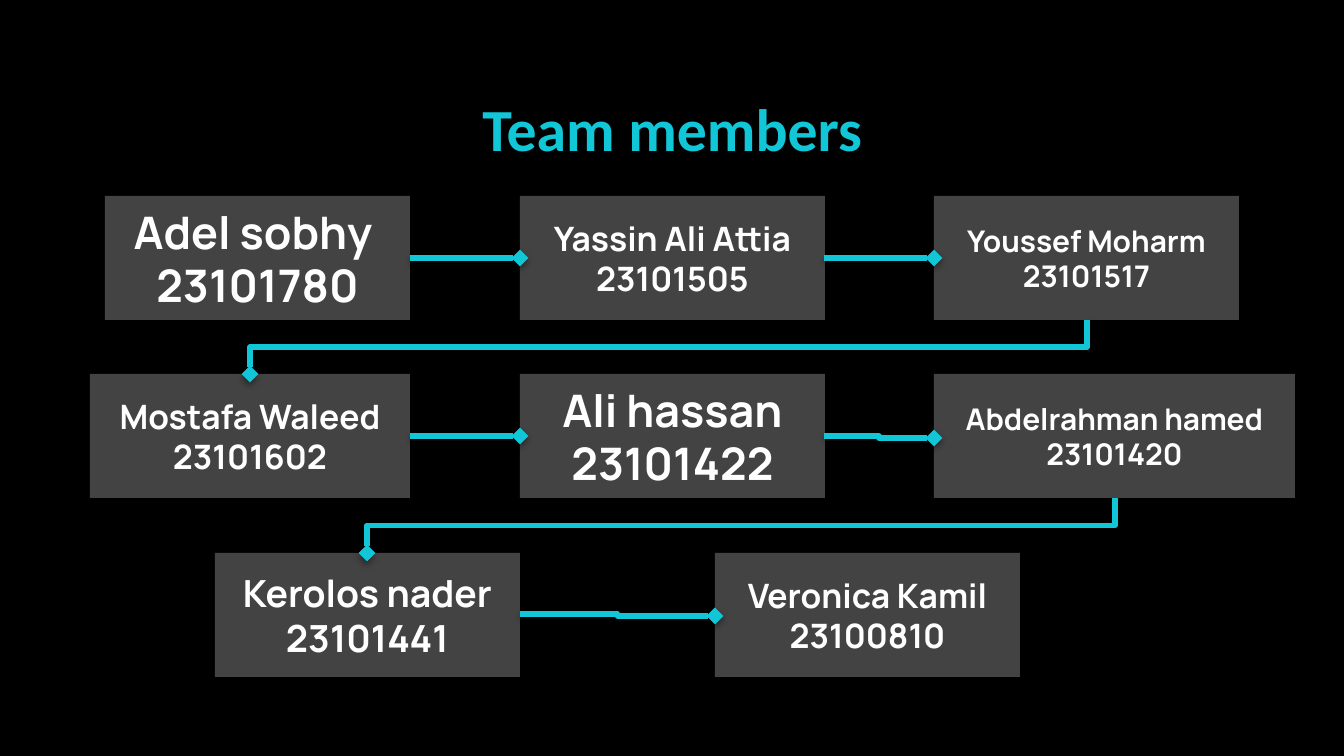
from lxml.etree import SubElement
from pptx import Presentation
from pptx.dml.color import RGBColor
from pptx.enum.shapes import MSO_CONNECTOR, MSO_SHAPE
from pptx.enum.text import MSO_ANCHOR, PP_ALIGN
from pptx.oxml import parse_xml
from pptx.oxml.ns import nsdecls, qn
from pptx.util import Pt

EMU_PER_PX = 914400 / 134.4

THEME = {
    "background": RGBColor.from_string("000000"),
    "card": RGBColor.from_string("434343"),
    "accent": RGBColor.from_string("11C7D7"),
    "text": RGBColor.from_string("FFFFFF"),
    "title_font": "Calibri",
    "card_font": "Manrope",
    "title_size": 32,
    "line_width": 3,
}

SHADOW = f"""<a:effectLst {nsdecls("a")}>
  <a:outerShdw blurRad="40000" dist="23000" dir="5400000" rotWithShape="0">
    <a:srgbClr val="000000"><a:alpha val="35000"/></a:srgbClr>
  </a:outerShdw>
</a:effectLst>"""


def px(value):
    return round(value * EMU_PER_PX)


def write(shape, text, font, size, color, anchor):
    frame = shape.text_frame
    frame.word_wrap = True
    frame.vertical_anchor = anchor
    frame.margin_left = frame.margin_right = px(13)
    frame.margin_top = frame.margin_bottom = px(13)
    para = frame.paragraphs[0]
    para.text = text
    para.alignment = PP_ALIGN.CENTER
    for span in para.runs:
        span.font.name = font
        span.font.size = Pt(size)
        span.font.bold = True
        span.font.color.rgb = color


# Deck and page
deck = Presentation()
deck.slide_width, deck.slide_height = px(1344), px(756)
page = deck.slides.add_slide(deck.slide_layouts[6])
page.background.fill.solid()
page.background.fill.fore_color.rgb = THEME["background"]

# Title
title = page.shapes.add_textbox(px(106), px(79), px(1133), px(85))
write(title, "Team members", THEME["title_font"], THEME["title_size"],
      THEME["accent"], MSO_ANCHOR.TOP)

# Member cards: name, number, left, row, width, type size
CARD_WIDTH, CARD_HEIGHT = 305, 124
ROW_TOPS = [196, 374, 553]
members = [
    ("Adel sobhy ", "23101780", 105, 0, CARD_WIDTH, 24),
    ("Yassin Ali Attia", "23101505", 520, 0, CARD_WIDTH, 18),
    ("Youssef Moharm", "23101517", 934, 0, CARD_WIDTH, 16),
    ("Mostafa Waleed", "23101602", 90, 1, 320, 18),
    ("Ali hassan", "23101422", 520, 1, CARD_WIDTH, 24),
    ("Abdelrahman hamed", "23101420", 934, 1, 361, 16),
    ("Kerolos nader", "23101441", 215, 2, CARD_WIDTH, 20),
    ("Veronica Kamil", "23100810", 715, 2, CARD_WIDTH, 18),
]
for name, number, left, row, width, size in members:
    card = page.shapes.add_shape(MSO_SHAPE.RECTANGLE, px(left), px(ROW_TOPS[row]),
                                 px(width), px(CARD_HEIGHT))
    card.shadow.inherit = False
    card.fill.solid()
    card.fill.fore_color.rgb = THEME["card"]
    card.line.fill.background()
    write(card, f"{name}\v{number}", THEME["card_font"], size, THEME["text"],
          MSO_ANCHOR.MIDDLE)

# Links from each member to the next: sideways in a row, downwards between rows
links = [
    (410, 258, 520, 258),
    (824, 258, 934, 258),
    (1087, 320, 250, 374),
    (410, 436, 520, 436),
    (824, 436, 934, 438),
    (1115, 498, 367, 553),
    (520, 614, 715, 616),
]
for x1, y1, x2, y2 in links:
    kind = MSO_CONNECTOR.STRAIGHT if y1 == y2 else MSO_CONNECTOR.ELBOW
    between_rows = x2 < x1
    if between_rows:
        # A quarter turn about the centre makes the elbow leave downwards
        center_x, center_y = (x1 + x2) / 2, (y1 + y2) / 2
        half_drop, half_span = (y2 - y1) / 2, (x1 - x2) / 2
        x1, x2 = center_x - half_drop, center_x + half_drop
        y1, y2 = center_y - half_span, center_y + half_span
    link = page.shapes.add_connector(kind, px(x1), px(y1), px(x2), px(y2))
    properties = link._element.spPr
    if between_rows:
        properties.find(qn("a:xfrm")).set("rot", "5400000")
    link.line.color.rgb = THEME["accent"]
    link.line.width = Pt(THEME["line_width"])
    SubElement(properties.find(qn("a:ln")), qn("a:tailEnd"), type="diamond")
    properties.append(parse_xml(SHADOW))

deck.save("out.pptx")
